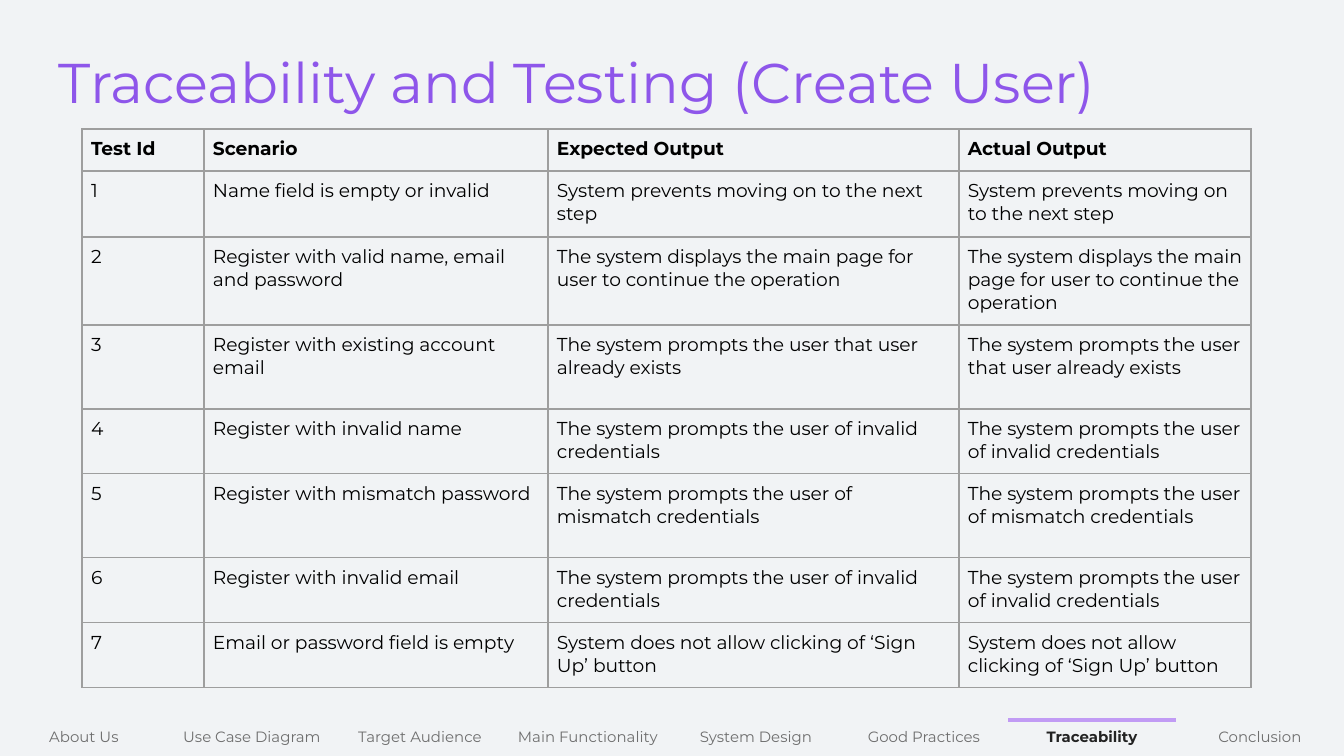
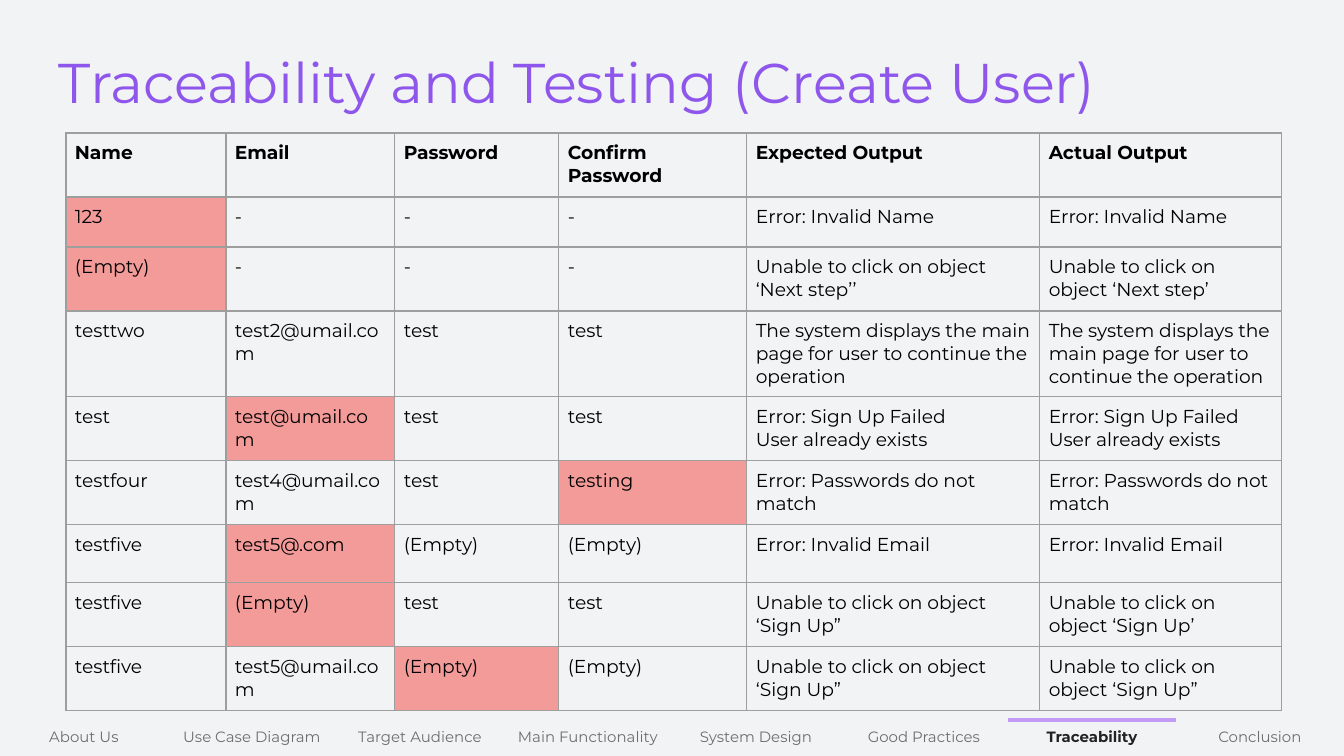
from lxml import etree
from pptx import Presentation
from pptx.dml.color import RGBColor
from pptx.enum.shapes import MSO_CONNECTOR
from pptx.enum.text import MSO_ANCHOR, MSO_AUTO_SIZE, PP_ALIGN
from pptx.oxml.ns import qn
from pptx.util import Emu, Pt

LEFT, CENTER = PP_ALIGN.LEFT, PP_ALIGN.CENTER
TOP, MIDDLE = MSO_ANCHOR.TOP, MSO_ANCHOR.MIDDLE
NO_AUTOFIT = MSO_AUTO_SIZE.NONE
STRAIGHT = MSO_CONNECTOR.STRAIGHT

PAGE_WIDTH, PAGE_HEIGHT = 1344, 756
EMU_PER_PX = 9144000 / PAGE_WIDTH
TITLE_ONLY = 5
PLAIN_TABLE_STYLE = "{2D5ABB26-0587-4C30-8999-92F81FD0307C}"

FONT = "Montserrat"
BACKGROUND = "F1F3F5"
PURPLE = "8E56EA"
LILAC = "C19BF4"
BLACK = "000000"
DARK = "222222"
GRAY = "6E6E6E"
GRID = "9E9E9E"
ERROR = "F39B99"

TITLE = "Traceability and Testing (Create User)"
TITLE_BOX = (46, 35, 1133, 85)
NAV_BOX = (0, 720, PAGE_WIDTH, 35)
SECTIONS = ["About Us", "Use Case Diagram", "Target Audience", "Main Functionality",
            "System Design", "Good Practices", "Traceability", "Conclusion"]
CURRENT_SECTION = "Traceability"

SCENARIO_COLUMNS = [122, 344, 411, 292]
SCENARIO_HEIGHTS = [42, 66, 88, 84, 65, 84, 65, 65]
SCENARIOS = [
    ["Test Id", "Scenario", "Expected Output", "Actual Output"],
    ["1", "Name field is empty or invalid",
     "System prevents moving on to the next step",
     "System prevents moving on to the next step"],
    ["2", "Register with valid name, email and password",
     "The system displays the main page for user to continue the operation",
     "The system displays the main page for user to continue the operation"],
    ["3", "Register with existing account email",
     "The system prompts the user that user already exists",
     "The system prompts the user that user already exists"],
    ["4", "Register with invalid name",
     "The system prompts the user of invalid credentials",
     "The system prompts the user of invalid credentials"],
    ["5", "Register with mismatch password",
     "The system prompts the user of mismatch credentials",
     "The system prompts the user of mismatch credentials"],
    ["6", "Register with invalid email",
     "The system prompts the user of invalid credentials",
     "The system prompts the user of invalid credentials"],
    ["7", "Email or password field is empty",
     "System does not allow clicking of ‘Sign Up’ button",
     "System does not allow clicking of ‘Sign Up’ button"],
]

INPUT_COLUMNS = [160, 169, 164, 188, 293, 242]
INPUT_HEIGHTS = [64, 50, 64, 86, 64, 64, 58, 64, 64]
INPUTS = [
    ["Name", "Email", "Password", "Confirm\nPassword", "Expected Output", "Actual Output"],
    ["123", "-", "-", "-", "Error: Invalid Name", "Error: Invalid Name"],
    ["(Empty)", "-", "-", "-",
     "Unable to click on object ‘Next step’’", "Unable to click on object ‘Next step’"],
    ["testtwo", "test2@umail.com", "test", "test",
     "The system displays the main page for user to continue the operation",
     "The system displays the main page for user to continue the operation"],
    ["test", "test@umail.com", "test", "test",
     "Error: Sign Up Failed\nUser already exists",
     "Error: Sign Up Failed\nUser already exists"],
    ["testfour", "test4@umail.com", "test", "testing",
     "Error: Passwords do not match", "Error: Passwords do not match"],
    ["testfive", "test5@.com", "(Empty)", "(Empty)",
     "Error: Invalid Email", "Error: Invalid Email"],
    ["testfive", "(Empty)", "test", "test",
     "Unable to click on object ‘Sign Up”", "Unable to click on object ‘Sign Up’"],
    ["testfive", "test5@umail.com", "(Empty)", "(Empty)",
     "Unable to click on object ‘Sign Up”", "Unable to click on object ‘Sign Up”"],
]
BAD_INPUTS = {(1, 0), (2, 0), (4, 1), (5, 3), (6, 1), (7, 1), (8, 2)}


def px(length):
    return Emu(round(length * EMU_PER_PX))


def color(value):
    return RGBColor.from_string(value)


def write(frame, text, size=10, ink=BLACK, bold=False, align=LEFT):
    """Fill a text frame, one paragraph for each line of text."""
    frame.text = text
    for para in frame.paragraphs:
        para.alignment = align
        for span in para.runs:
            span.font.name = FONT
            span.font.size = Pt(size)
            span.font.bold = bold
            span.font.color.rgb = color(ink)


def set_margins(target, horizontal, vertical):
    target.margin_left = target.margin_right = px(horizontal)
    target.margin_top = target.margin_bottom = px(vertical)


def add_plain_table(page, left, top, columns, heights):
    """Add a table whose style brings no bands, fills or lines."""
    frame = page.shapes.add_table(len(heights), len(columns), px(left), px(top),
                                  px(sum(columns)), px(sum(heights)))
    table = frame.table
    table.first_row = table.horz_banding = False
    table._tbl.tblPr.find(qn("a:tableStyleId")).text = PLAIN_TABLE_STYLE
    for column, width in zip(table.columns, columns):
        column.width = px(width)
    for row, height in zip(table.rows, heights):
        row.height = px(height)
    return table


def add_borders(cell):
    properties = cell._tc.get_or_add_tcPr()
    for side in ("a:lnL", "a:lnR", "a:lnT", "a:lnB"):
        line = etree.SubElement(properties, qn(side), w=str(Pt(0.75)))
        fill = etree.SubElement(line, qn("a:solidFill"))
        etree.SubElement(fill, qn("a:srgbClr"), val=GRID)


def add_test_table(page, left, top, columns, heights, rows, marked=()):
    table = add_plain_table(page, left, top, columns, heights)
    for row, texts in enumerate(rows):
        for column, text in enumerate(texts):
            cell = table.cell(row, column)
            add_borders(cell)
            set_margins(cell, 9, 9)
            cell.vertical_anchor = TOP
            if (row, column) in marked:
                cell.fill.solid()
                cell.fill.fore_color.rgb = color(ERROR)
            else:
                cell.fill.background()
            write(cell.text_frame, text, bold=row == 0)


def add_navigation(page, box):
    """Add the row of section names, with a line above the current one."""
    left, top, width, height = box
    step = width // len(SECTIONS)
    table = add_plain_table(page, left, top, [step] * len(SECTIONS), [height])
    for cell, section in zip(table.rows[0].cells, SECTIONS):
        current = section == CURRENT_SECTION
        set_margins(cell, 0, 0)
        cell.vertical_anchor = MIDDLE
        cell.fill.background()
        write(cell.text_frame, section, size=8, ink=DARK if current else GRAY,
              bold=current, align=CENTER)

    start = left + step * SECTIONS.index(CURRENT_SECTION)
    marker = page.shapes.add_connector(STRAIGHT, px(start), px(top), px(start + step), px(top))
    marker.line.color.rgb = color(LILAC)
    marker.line.width = Pt(2.25)
    etree.SubElement(marker._element.spPr, qn("a:effectLst"))


def place_title(title, box):
    title.left, title.top, title.width, title.height = map(px, box)
    frame = title.text_frame
    frame.word_wrap = True
    frame.auto_size = NO_AUTOFIT
    frame.vertical_anchor = TOP
    set_margins(frame, 13, 13)
    write(frame, TITLE, size=30, ink=PURPLE)


def add_test_page(deck, left, top, columns, heights, rows, marked=()):
    page = deck.slides.add_slide(deck.slide_layouts[TITLE_ONLY])
    add_navigation(page, NAV_BOX)
    place_title(page.shapes.title, TITLE_BOX)
    add_test_table(page, left, top, columns, heights, rows, marked)


def main():
    deck = Presentation()
    deck.slide_width, deck.slide_height = px(PAGE_WIDTH), px(PAGE_HEIGHT)
    backdrop = deck.slide_master.background.fill
    backdrop.solid()
    backdrop.fore_color.rgb = color(BACKGROUND)

    add_test_page(deck, 82, 129, SCENARIO_COLUMNS, SCENARIO_HEIGHTS, SCENARIOS)
    add_test_page(deck, 66, 133, INPUT_COLUMNS, INPUT_HEIGHTS, INPUTS, BAD_INPUTS)
    deck.save("out.pptx")


if __name__ == "__main__":
    main()
